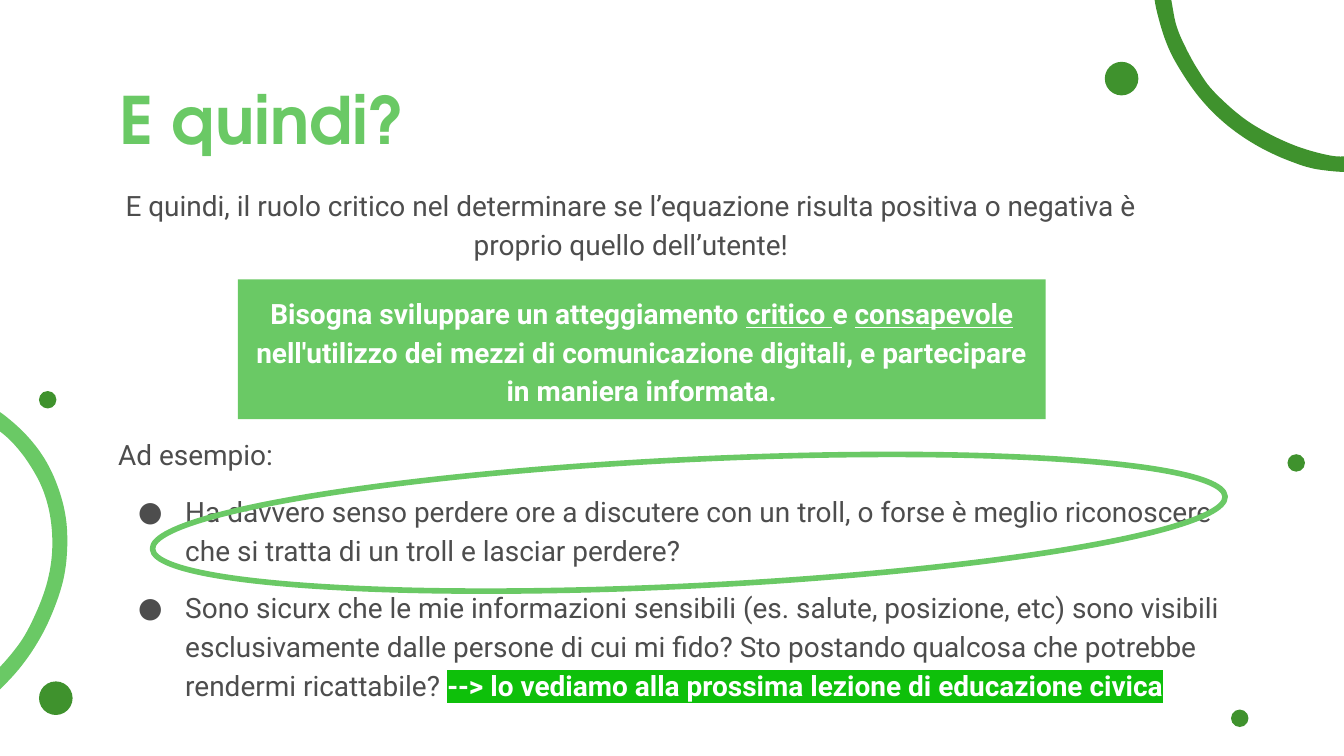
from dataclasses import dataclass
from typing import NamedTuple

from lxml.etree import SubElement
from pptx import Presentation
from pptx.dml.color import RGBColor
from pptx.enum.shapes import MSO_SHAPE as Shape
from pptx.enum.text import MSO_ANCHOR as Anchor, PP_ALIGN as Align
from pptx.oxml import parse_xml
from pptx.oxml.ns import nsdecls, qn
from pptx.util import Inches, Pt


@dataclass(frozen=True)
class Theme:
    light: str = "6AC965"
    dark: str = "3F922D"
    text: str = "4D4D4D"
    white: str = "FFFFFF"
    marker: str = "0EC00A"
    title_font: str = "TeX Gyre Adventor"
    body_font: str = "Roboto"
    title_size: int = 35
    body_size: int = 15


class Dot(NamedTuple):
    x: float
    y: float
    size: float


class Arc(NamedTuple):
    color: str
    points: list


class Part(NamedTuple):
    text: str
    underline: bool = False
    bold: bool = False
    color: str = ""
    highlight: str = ""


T = Theme()
BIG, SMALL = 0.25, 0.13
DOTS = [
    Dot(0.29, 5.07, BIG),
    Dot(0.29, 2.91, SMALL),
    Dot(9.58, 3.38, SMALL),
    Dot(8.22, 0.46, BIG),
    Dot(9.16, 5.28, SMALL),
]
ARCS = [
    Arc(T.light, [
        (-0.07, 3.04), (-0.12, 3.08), (-0.08, 3.16), (0, 3.21), (0.1, 3.3),
        (0.21, 3.44), (0.31, 3.62), (0.37, 3.82), (0.39, 4.04), (0.37, 4.25),
        (0.31, 4.46), (0.2, 4.7), (0.09, 4.86), (-0.07, 5.04), (-0.13, 5.11),
        (-0.06, 5.18), (-0.03, 5.16), (0.14, 4.98), (0.28, 4.78),
        (0.39, 4.56), (0.47, 4.32), (0.5, 4.09), (0.49, 3.85), (0.43, 3.62),
        (0.33, 3.41), (0.19, 3.23), (0.02, 3.08),
    ]),
    Arc(T.dark, [
        (8.64, -0.1), (8.59, -0.03), (8.63, 0.17), (8.7, 0.37), (8.8, 0.55),
        (8.92, 0.72), (9.06, 0.87), (9.22, 1), (9.4, 1.11), (9.6, 1.2),
        (9.8, 1.26), (10.07, 1.28), (10.13, 1.23), (10.07, 1.17),
        (9.91, 1.16), (9.68, 1.1), (9.45, 1), (9.24, 0.87), (9.03, 0.68),
        (8.92, 0.53), (8.82, 0.35), (8.75, 0.18), (8.7, -0.06),
    ]),
]


def paint(sp, color: str) -> None:
    sp.shadow.inherit = False
    sp.fill.solid()
    sp.fill.fore_color.rgb = RGBColor.from_string(color)
    sp.line.fill.background()


def smooth(points: list, steps: int = 6) -> list:
    n = len(points)
    curve = []
    for i in range(n):
        a, b, c, d = (points[(i + k) % n] for k in (-1, 0, 1, 2))
        for t in (step / steps for step in range(steps)):
            curve.append(tuple(
                0.5 * (2 * q + (r - p) * t + (2 * p - 5 * q + 4 * r - s) * t**2
                       + (3 * q - p - 3 * r + s) * t**3)
                for p, q, r, s in zip(a, b, c, d)))
    return curve


def draw_arc(slide, arc: Arc) -> None:
    outline = [(Inches(x), Inches(y)) for x, y in smooth(arc.points)]
    builder = slide.shapes.build_freeform(*outline[0])
    builder.add_line_segments(outline[1:], close=True)
    paint(builder.convert_to_shape(), arc.color)


def draw_shape(slide, kind: Shape, x: float, y: float, w: float, h: float):
    return slide.shapes.add_shape(kind, Inches(x), Inches(y), Inches(w), Inches(h))


def set_frame(sp, anchor: Anchor):
    tf = sp.text_frame
    tf.word_wrap = True
    tf.vertical_anchor = anchor
    tf.margin_left = tf.margin_right = Inches(0.1)
    tf.margin_top = tf.margin_bottom = Inches(0.1)
    return tf


def draw_box(slide, x: float, y: float, w: float, h: float, anchor=Anchor.MIDDLE):
    sp = slide.shapes.add_textbox(Inches(x), Inches(y), Inches(w), Inches(h))
    return set_frame(sp, anchor)


def add_bullet(p, color: str) -> None:
    pr = p._p.get_or_add_pPr()
    pr.set("marL", str(Inches(0.5)))
    pr.set("indent", str(Inches(-0.35)))
    clr = SubElement(pr, qn("a:buClr"))
    SubElement(clr, qn("a:srgbClr"), val=color)
    SubElement(pr, qn("a:buFont"), typeface=T.body_font)
    SubElement(pr, qn("a:buChar"), char="●")


def write(tf, *parts: Part, size=T.body_size, font=T.body_font, color=T.text,
          bold=False, align=Align.LEFT, spacing=1.15, bullet=False) -> None:
    first = not tf.paragraphs[0].runs
    p = tf.paragraphs[0] if first else tf.add_paragraph()
    p.alignment = align
    p.line_spacing = spacing
    p.space_before = Pt(0 if first else 10)
    if bullet:
        add_bullet(p, T.text)
    for part in parts:
        r = p.add_run()
        r.text = part.text
        r.font.size = Pt(size)
        r.font.name = font
        r.font.bold = bold or part.bold
        r.font.underline = part.underline
        r.font.color.rgb = RGBColor.from_string(part.color or color)
        if part.highlight:
            r._r.rPr.find(qn("a:solidFill")).addnext(parse_xml(
                f'<a:highlight {nsdecls("a")}>'
                f'<a:srgbClr val="{part.highlight}"/></a:highlight>'))


def main() -> None:
    prs = Presentation()
    prs.slide_width = Inches(10)
    prs.slide_height = prs.slide_width * 9 // 16
    slide = prs.slides.add_slide(prs.slide_layouts[6])

    for arc in ARCS:
        draw_arc(slide, arc)
    for dot in DOTS:
        paint(draw_shape(slide, Shape.OVAL, dot.x, dot.y, dot.size, dot.size), T.dark)

    title = draw_box(slide, 0.79, 0.49, 7.26, 0.63, Anchor.TOP)
    write(title, Part("E quindi?"), size=T.title_size, font=T.title_font,
          color=T.light, bold=True, spacing=1.0)

    intro = draw_box(slide, 0.72, 1.28, 7.95, 0.75)
    write(intro, Part("E quindi, il ruolo critico nel determinare se l’equazione "
                      "risulta positiva o negativa è proprio quello dell’utente!"),
          align=Align.CENTER)

    examples = draw_box(slide, 0.78, 3, 8.52, 2.44)
    write(examples, Part("Ad esempio:"))
    write(examples, Part("Ha davvero senso perdere ore a discutere con un troll, o forse "
                         "è meglio riconoscere che si tratta di un troll e lasciar perdere?"),
          bullet=True)
    write(examples,
          Part("Sono sicurx che le mie informazioni sensibili (es. salute, posizione, etc) "
               "sono visibili esclusivamente dalle persone di cui mi fido? Sto postando "
               "qualcosa che potrebbe rendermi ricattabile? "),
          Part("--> lo vediamo alla prossima lezione di educazione civica",
               bold=True, color=T.white, highlight=T.marker),
          bullet=True)

    banner = draw_shape(slide, Shape.RECTANGLE, 1.77, 2.08, 6.01, 1.04)
    paint(banner, T.light)
    write(set_frame(banner, Anchor.MIDDLE),
          Part("Bisogna sviluppare un atteggiamento "),
          Part("critico ", underline=True),
          Part("e "),
          Part("consapevole ", underline=True),
          Part("nell'utilizzo dei mezzi di comunicazione digitali, e partecipare "
               "in maniera informata."),
          color=T.white, bold=True, align=Align.CENTER)

    ring = draw_shape(slide, Shape.OVAL, 1.13, 3.42, 7.99, 0.94)
    ring.shadow.inherit = False
    ring.rotation = 357.2
    ring.fill.background()
    ring.line.color.rgb = RGBColor.from_string(T.light)
    ring.line.width = Pt(3)

    prs.save("out.pptx")


if __name__ == "__main__":
    main()
